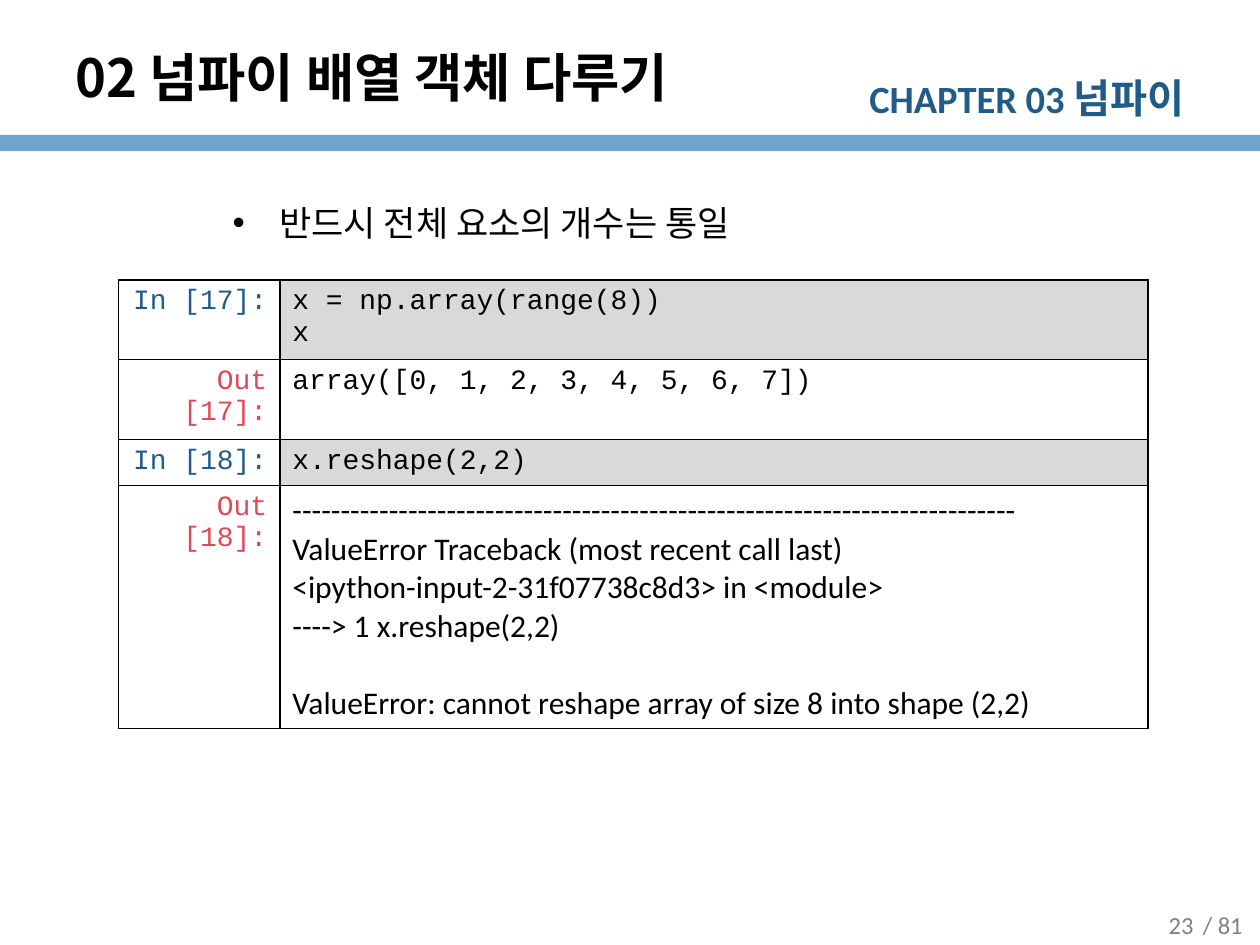
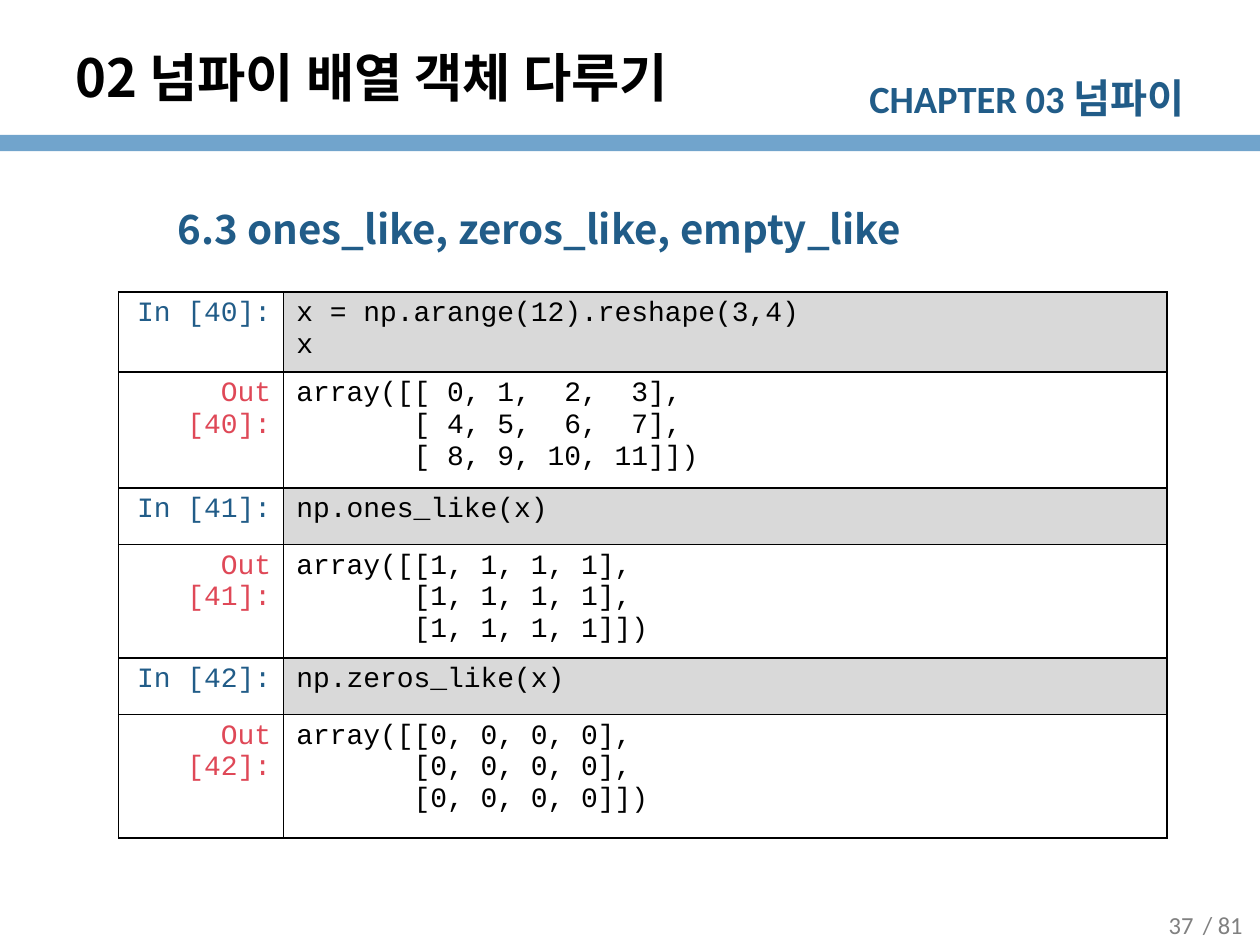
"""Builds two slides on array objects with notebook-style code tables."""
from dataclasses import dataclass
from typing import Optional

from lxml.etree import SubElement
from pptx import Presentation
from pptx.dml.color import RGBColor
from pptx.enum.shapes import MSO_SHAPE
from pptx.enum.text import MSO_ANCHOR, PP_ALIGN
from pptx.oxml.ns import qn
from pptx.util import Cm, Pt

COLORS = {
    "band": "71A4CC",
    "blue": "215C88",
    "red": "DF4857",
    "black": "000000",
    "gray": "808080",
    "code": "D9D9D9",
}
SANS, MONO, KOREAN = "Calibri", "Courier New", "Noto Sans CJK KR"
TITLE = "02 넘파이 배열 객체 다루기"
TOTAL = "/ 81"


@dataclass(frozen=True)
class Box:
    left: float
    top: float
    width: float
    height: float

    def place(self) -> tuple:
        return Cm(self.left), Cm(self.top), Cm(self.width), Cm(self.height)


@dataclass(frozen=True)
class Style:
    size: float
    color: str = "black"
    face: str = SANS
    bold: bool = False
    align: PP_ALIGN = PP_ALIGN.LEFT


@dataclass(frozen=True)
class Lead:
    text: str
    box: Box
    style: Style
    margin: float
    indent: float = 0
    bullet: Optional[str] = None


@dataclass(frozen=True)
class Row:
    label: str
    height: float
    lines: tuple
    style: Style = Style(16, face=MONO)
    gap: float = 0


@dataclass(frozen=True)
class Grid:
    top: float
    widths: tuple
    rows: tuple


@dataclass(frozen=True)
class Page:
    number: int
    lead: Lead
    grid: Grid


def ones(digit: int) -> tuple:
    row = "[" + ", ".join([str(digit)] * 4) + "]"
    return f"array([{row},", f"       {row},", f"       {row}])"


PAGES = (
    Page(
        23,
        Lead("반드시 전체 요소의 개수는 통일", Box(1.27, 3.73, 22.86, 14.33),
             Style(20), 4.11, -0.94, "•"),
        Grid(5.64, (3.25, 17.5), (
            Row("In [17]:", 1.52, ("x = np.array(range(8))", "x")),
            Row("Out [17]:", 1.52, ("array([0, 1, 2, 3, 4, 5, 6, 7])",)),
            Row("In [18]:", 0.89, ("x.reshape(2,2)",)),
            Row("Out [18]:", 4.9, (
                "-" * 75,
                "ValueError Traceback (most recent call last)",
                "<ipython-input-2-31f07738c8d3> in <module>",
                "----> 1 x.reshape(2,2)",
                "ValueError: cannot reshape array of size 8 into shape (2,2)",
            ), Style(18), 22),
        )),
    ),
    Page(
        37,
        Lead("6.3 ones_like, zeros_like, empty_like",
             Box(1.27, 3.76, 22.86, 10.74),
             Style(23, "blue", KOREAN, True), 2.06),
        Grid(5.89, (3.33, 17.81), (
            Row("In [40]:", 1.52, ("x = np.arange(12).reshape(3,4)", "x")),
            Row("Out [40]:", 2.34, (
                "array([[ 0, 1,  2,  3],",
                "       [ 4, 5,  6,  7],",
                "       [ 8, 9, 10, 11]])",
            )),
            Row("In [41]:", 1.14, ("np.ones_like(x)",)),
            Row("Out [41]:", 2.18, ones(1)),
            Row("In [42]:", 1.14, ("np.zeros_like(x)",)),
            Row("Out [42]:", 2.49, ones(0)),
        )),
    ),
)


def color(name: str) -> RGBColor:
    return RGBColor.from_string(COLORS[name])


def format_par(par, style: Style) -> None:
    par.alignment = style.align
    font = par.font
    font.size, font.bold, font.name = Pt(style.size), style.bold, style.face
    font.color.rgb = color(style.color)
    props = par._p.pPr.find(qn("a:defRPr"))
    SubElement(props, qn("a:ea"), typeface=KOREAN)


def add_text(slide, box: Box, text: str, style: Style,
             anchor: MSO_ANCHOR = MSO_ANCHOR.TOP):
    frame = slide.shapes.add_textbox(*box.place()).text_frame
    frame.word_wrap = True
    frame.vertical_anchor = anchor
    par = frame.paragraphs[0]
    par.text = text
    format_par(par, style)
    return par


def add_frame(slide, number: int) -> None:
    band = slide.shapes.add_shape(
        MSO_SHAPE.RECTANGLE, *Box(0, 2.72, 25.4, 0.33).place())
    band.shadow.inherit = False
    band.fill.solid()
    band.fill.fore_color.rgb = color("band")
    band.line.fill.background()

    head = add_text(slide, Box(16.81, 1.35, 7.32, 1.22), "CHAPTER 03 ",
                    Style(22, "blue", bold=True, align=PP_ALIGN.RIGHT))
    name = head.add_run()
    name.text = "넘파이"
    name.font.size = Pt(23)

    foot = Style(14, "gray", align=PP_ALIGN.CENTER)
    for left, text in ((23.75, TOTAL), (22.91, str(number))):
        add_text(slide, Box(left, 18.14, 1.8, 0.99), text, foot,
                 MSO_ANCHOR.MIDDLE)

    title = slide.shapes.title
    title.left, title.top, title.width, title.height = Box(
        1.27, 0.76, 19.89, 1.57).place()
    frame = title.text_frame
    frame.text = TITLE
    frame.vertical_anchor = MSO_ANCHOR.MIDDLE
    format_par(frame.paragraphs[0], Style(30, face=KOREAN, bold=True))


def add_lead(slide, lead: Lead) -> None:
    frame = slide.shapes.add_textbox(*lead.box.place()).text_frame
    frame.word_wrap = True
    par = frame.paragraphs[0]
    par.text = lead.text
    par.line_spacing = 1.25
    props = par._p.get_or_add_pPr()
    props.set("marL", str(Cm(lead.margin)))
    props.set("indent", str(Cm(lead.indent)))
    if lead.bullet:
        SubElement(props, qn("a:buFont"), typeface="Arial")
        SubElement(props, qn("a:buChar"), char=lead.bullet)
    format_par(par, lead.style)


def add_edges(cell) -> None:
    props = cell._tc.get_or_add_tcPr()
    for side in ("lnL", "lnR", "lnT", "lnB"):
        line = SubElement(props, qn(f"a:{side}"), w=str(Pt(1)))
        fill = SubElement(line, qn("a:solidFill"))
        SubElement(fill, qn("a:srgbClr"), val=COLORS["black"])


def fill_cell(cell, lines: tuple, style: Style, shade: bool,
              gap: float = 0) -> None:
    add_edges(cell)
    if shade:
        cell.fill.solid()
        cell.fill.fore_color.rgb = color("code")
    else:
        cell.fill.background()
    frame = cell.text_frame
    frame.text = "\n".join(lines)
    for par in frame.paragraphs:
        format_par(par, style)
    if gap:
        frame.paragraphs[-1].space_before = Pt(gap)


def add_grid(slide, grid: Grid) -> None:
    box = Box(2.39, grid.top, sum(grid.widths),
              sum(row.height for row in grid.rows))
    table = slide.shapes.add_table(
        len(grid.rows), len(grid.widths), *box.place()).table
    table.first_row = table.horz_banding = False
    for column, width in zip(table.columns, grid.widths):
        column.width = Cm(width)
    for index, row in enumerate(grid.rows):
        table.rows[index].height = Cm(row.height)
        entry = row.label.startswith("In")
        label = Style(16, "blue" if entry else "red", MONO,
                      align=PP_ALIGN.RIGHT)
        fill_cell(table.cell(index, 0), (row.label,), label, False)
        fill_cell(table.cell(index, 1), row.lines, row.style, entry, row.gap)


def main() -> None:
    deck = Presentation()
    deck.slide_width, deck.slide_height = Cm(25.4), Cm(19.05)
    for page in PAGES:
        slide = deck.slides.add_slide(deck.slide_layouts[5])
        add_frame(slide, page.number)
        add_lead(slide, page.lead)
        add_grid(slide, page.grid)
    deck.save("out.pptx")


if __name__ == "__main__":
    main()
